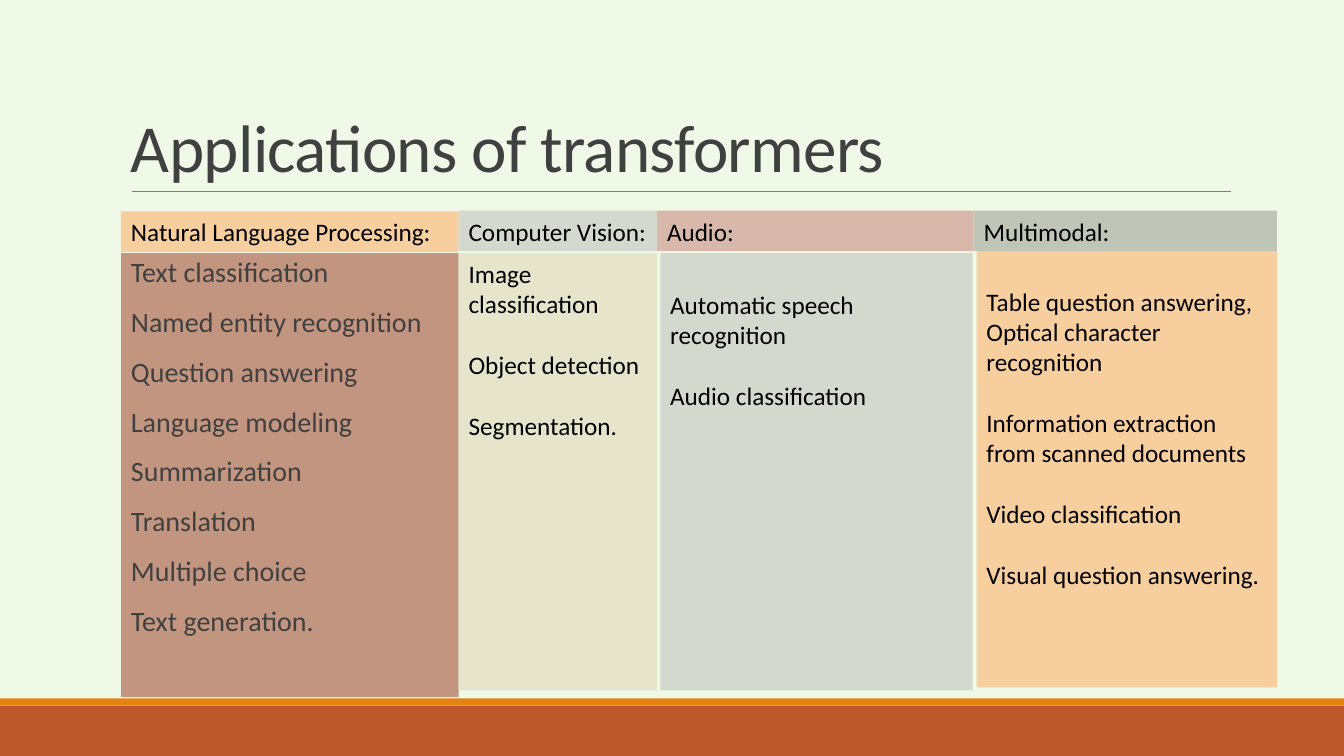
from pptx import Presentation
from pptx.dml.color import RGBColor
from pptx.enum.shapes import MSO_CONNECTOR, MSO_SHAPE
from pptx.enum.text import MSO_ANCHOR, MSO_AUTO_SIZE, PP_ALIGN
from pptx.oxml.ns import qn
from pptx.util import Cm, Pt
from lxml import etree

RECT = MSO_SHAPE.RECTANGLE
STRAIGHT = MSO_CONNECTOR.STRAIGHT
TOP, BOTTOM = MSO_ANCHOR.TOP, MSO_ANCHOR.BOTTOM
LEFT = PP_ALIGN.LEFT
FIXED = MSO_AUTO_SIZE.NONE

MINT = RGBColor(0xF0, 0xF9, 0xE7)
RUST = RGBColor(0xBD, 0x58, 0x2C)
ORANGE = RGBColor(0xE4, 0x83, 0x12)
GREY = RGBColor(0x80, 0x80, 0x80)
DARK = RGBColor(0x40, 0x40, 0x40)
BLACK = RGBColor(0, 0, 0)
CLAY = RGBColor(0xC2, 0x95, 0x80)
PEACH = RGBColor(0xF7, 0xCE, 0x9D)
SAGE = RGBColor(0xD4, 0xD9, 0xCF)
SAND = RGBColor(0xE7, 0xE4, 0xCC)
ROSE = RGBColor(0xD7, 0xB8, 0xAB)
MOSS = RGBColor(0xBF, 0xC6, 0xB8)

FONT = "Calibri"
GAP = Pt(22)      # one line of 18 pt text
PAD = Cm(0.13)
SIDE = Cm(0.25)

TITLE = "Applications of transformers"
TASKS = ["Text classification", "Named entity recognition",
         "Question answering", "Language modeling", "Summarization",
         "Translation", "Multiple choice", "Text generation."]

# text, fill, top
HEADS = [("Natural Language Processing:", PEACH, 5.33),
         ("Computer Vision:", SAGE, 5.31),
         ("Audio:", ROSE, 5.31),
         ("Multimodal:", MOSS, 5.31)]
EDGES = [3.05, 11.56, 16.56, 24.54, 32.18]

# groups of lines, fill, (left, top, width), space above the first group
PANELS = [
    ([["Image classification"], ["Object detection"], ["Segmentation."]],
     SAND, (11.56, 6.38, 5), 0),
    ([["Automatic speech recognition"], ["Audio classification"]],
     SAGE, (16.64, 6.38, 7.87), GAP),
    ([["Table question answering,", "Optical character recognition"],
      ["Information extraction from scanned documents"],
      ["Video classification"], ["Visual question answering."]],
     PEACH, (24.61, 6.3, 7.57), GAP),
]


def place(shape, x, y, w, h):
    shape.left, shape.top, shape.width, shape.height = map(Cm, (x, y, w, h))


def style(para, size, color):
    para.alignment = LEFT
    para.font.name = FONT
    para.font.size = Pt(size)
    para.font.color.rgb = color


def add_box(x, y, w, h, fill):
    box = slide.shapes.add_shape(RECT, Cm(x), Cm(y), Cm(w), Cm(h))
    box.shadow.inherit = False
    box.fill.solid()
    box.fill.fore_color.rgb = fill
    box.line.fill.background()
    return box


def set_frame(frame, anchor, above=0):
    frame.word_wrap = True
    frame.auto_size = FIXED
    frame.vertical_anchor = anchor
    frame.margin_left = frame.margin_right = SIDE
    frame.margin_top, frame.margin_bottom = PAD + above, PAD


def write(box, groups, above=0):
    """Fill a box with groups of lines, one blank line's height apart."""
    frame = box.text_frame
    set_frame(frame, TOP, above)
    lines = [(text, i > 0 and j == 0) for i, group in enumerate(groups)
             for j, text in enumerate(group)]
    frame.text = "\n".join(text for text, _ in lines)
    for para, (_, apart) in zip(frame.paragraphs, lines):
        style(para, 18, BLACK)
        if apart:
            para.space_before = GAP


prs = Presentation()
prs.slide_width, prs.slide_height = Cm(33.87), Cm(19.05)
slide = prs.slides.add_slide(prs.slide_layouts[1])
slide.background.fill.solid()
slide.background.fill.fore_color.rgb = MINT

add_box(0, 17.78, 33.87, 1.27, RUST)
add_box(0, 17.6, 33.87, 0.18, ORANGE)
rule = slide.shapes.add_connector(STRAIGHT, Cm(3.33), Cm(4.83), Cm(31.01), Cm(4.83))
rule.line.color.rgb = GREY
rule.line.width = Pt(0.5)
etree.SubElement(rule._element.spPr, qn("a:effectLst"))

title = slide.shapes.title
place(title, 3.05, 0.79, 27.94, 4.04)
set_frame(title.text_frame, BOTTOM)
title.text_frame.text = TITLE
head = title.text_frame.paragraphs[0]
style(head, 48, DARK)
head.line_spacing = 0.85
head.runs[0]._r.get_or_add_rPr().set("spc", "-50")

body = slide.placeholders[1]
place(body, 3.05, 6.38, 8.51, 11.18)
body.fill.solid()
body.fill.fore_color.rgb = CLAY
set_frame(body.text_frame, TOP)
body.text_frame.text = "\n".join(TASKS)
for para in body.text_frame.paragraphs:
    style(para, 20, DARK)
    para.line_spacing = 0.9
    para.space_before, para.space_after = Pt(12), Pt(2)
    props = para._p.get_or_add_pPr()
    props.set("marL", "0")
    props.set("indent", "0")
    etree.SubElement(props, qn("a:buNone"))
    # bullets must precede the default run properties
    props.append(props.find(qn("a:defRPr")))

for groups, fill, (x, y, w), above in PANELS:
    write(add_box(x, y, w, 11.02, fill), groups, above)

for (text, fill, y), x, end in zip(HEADS, EDGES, EDGES[1:]):
    write(add_box(x, y, end - x, 1.02, fill), [[text]])

prs.save("out.pptx")
